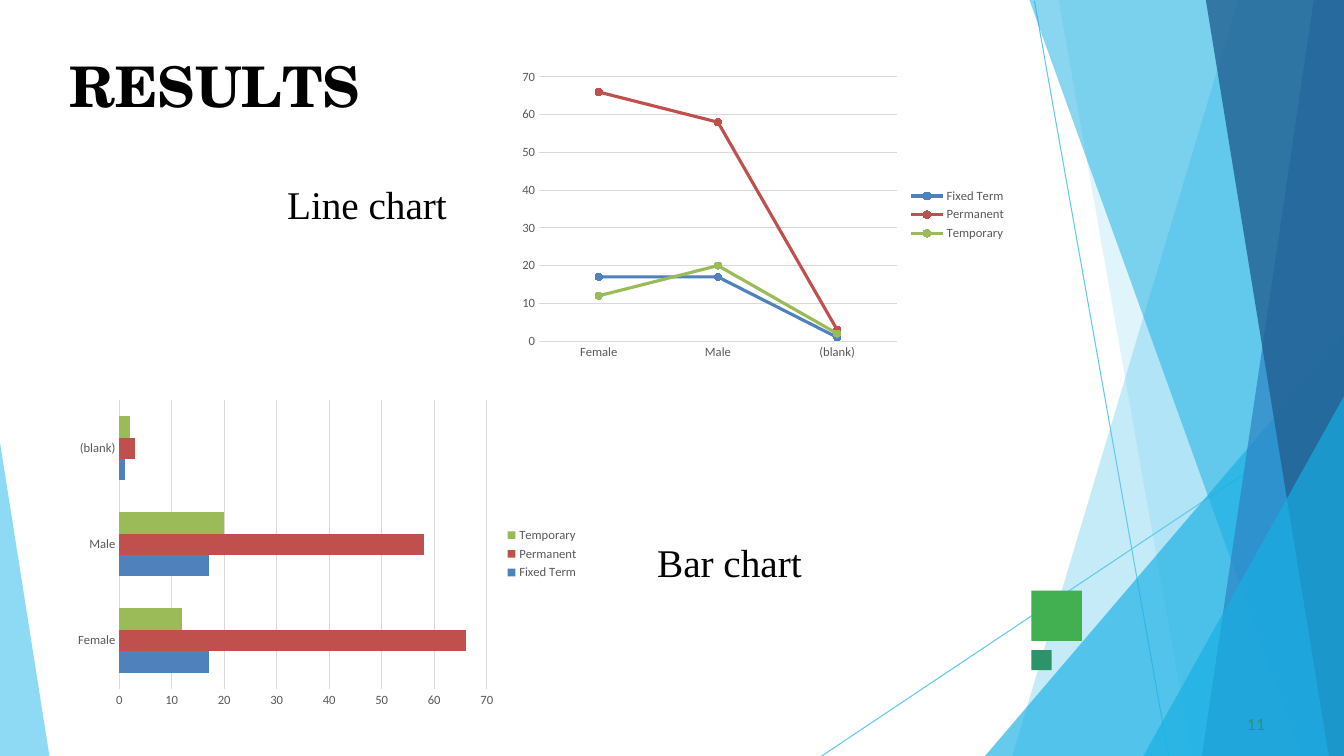
from pptx import Presentation
from pptx.chart.data import CategoryChartData
from pptx.dml.color import RGBColor
from pptx.enum.chart import XL_CHART_TYPE, XL_LEGEND_POSITION, XL_MARKER_STYLE, XL_TICK_MARK
from pptx.enum.shapes import MSO_CONNECTOR, MSO_SHAPE
from pptx.oxml.ns import qn
from pptx.oxml.xmlchemy import OxmlElement
from pptx.util import Pt

PX = 9144
WIDE, HIGH = 1333, 750
BLACK = RGBColor(0x00, 0x00, 0x00)
GRAY = RGBColor(0x59, 0x59, 0x59)
GRID = RGBColor(0xD9, 0xD9, 0xD9)
SKY = RGBColor(0x5F, 0xCA, 0xEE)
CYAN = RGBColor(0x17, 0xAF, 0xE3)
BLUE = RGBColor(0x2D, 0x83, 0xC3)
NAVY = RGBColor(0x22, 0x61, 0x92)
GREEN = RGBColor(0x42, 0xAF, 0x51)
TEAL = RGBColor(0x2D, 0x93, 0x6B)

GROUPS = ("Female", "Male", "(blank)")
TERMS = (
    ("Fixed Term", (17, 17, 1), RGBColor(0x4F, 0x81, 0xBD)),
    ("Permanent", (66, 58, 3), RGBColor(0xC0, 0x50, 0x4D)),
    ("Temporary", (12, 20, 2), RGBColor(0x9B, 0xBB, 0x59)),
)


class Painter:
    """Draws styled elements on the current slide."""

    def __init__(self, slide):
        self.shapes = slide.shapes
        self.font = "Calibri"

    def box(self, area):
        return [n * PX for n in area]

    def style(self, font, size, color, name=None, bold=False):
        font.name = name or self.font
        font.size = Pt(size)
        font.bold = bold
        font.color.rgb = color

    def paint(self, shape, color, alpha=100):
        shape.shadow.inherit = False
        shape.fill.solid()
        shape.fill.fore_color.rgb = color
        shape.line.fill.background()
        if alpha < 100:
            tint = next(shape._element.spPr.iter(qn("a:srgbClr")))
            node = OxmlElement("a:alpha")
            node.set("val", str(alpha * 1000))
            tint.append(node)

    def line(self, ends, color):
        wire = self.shapes.add_connector(MSO_CONNECTOR.STRAIGHT, *self.box(ends))
        wire.line.color.rgb = color
        wire.line.width = Pt(0.75)
        wire._element.spPr.append(OxmlElement("a:effectLst"))

    def facet(self, points, color, alpha):
        pen = self.shapes.build_freeform(*points[0], scale=PX)
        pen.add_line_segments(points[1:], close=True)
        self.paint(pen.convert_to_shape(), color, alpha)

    def square(self, left, top, side, color):
        area = self.box((left, top, side, side))
        self.paint(self.shapes.add_shape(MSO_SHAPE.RECTANGLE, *area), color)

    def text(self, area, parts, size, color, name, bold=False, pad=(0, 1), space=0):
        frame = self.shapes.add_textbox(*self.box(area)).text_frame
        frame.word_wrap = True
        frame.margin_left = frame.margin_right = pad[0] * PX
        frame.margin_top = pad[1] * PX
        frame.margin_bottom = pad[0] // 2 * PX
        para = frame.paragraphs[0]
        para.space_before = Pt(space)
        for words, gap in parts:
            run = para.add_run()
            run.text = words
            self.style(run.font, size, color, name, bold)
            if gap:
                run._r.get_or_add_rPr().set("spc", str(gap))

    def chart(self, kind, area):
        data = CategoryChartData()
        data.categories = GROUPS
        for name, vals, _ in TERMS:
            data.add_series(name, vals)
        chart = self.shapes.add_chart(kind, *self.box(area), data).chart
        self.style(chart.font, 10, BLACK)
        chart.has_title = False
        chart.has_legend = True
        chart.legend.position = XL_LEGEND_POSITION.RIGHT
        chart.legend.include_in_layout = False
        self.style(chart.legend.font, 9, GRAY)
        for axis in (chart.category_axis, chart.value_axis):
            axis.major_tick_mark = axis.minor_tick_mark = XL_TICK_MARK.NONE
            axis.format.line.fill.background()
            self.style(axis.tick_labels.font, 9, GRAY)
        scale = chart.value_axis
        scale.minimum_scale, scale.maximum_scale, scale.major_unit = 0, 70, 10
        scale.has_major_gridlines = True
        self.rule(scale.major_gridlines.format.line, GRID, 0.75)
        chart.plots[0].vary_by_categories = False
        return chart

    def rule(self, line, color, width):
        line.color.rgb = color
        line.width = Pt(width)

    def bars(self, area):
        plot = self.chart(XL_CHART_TYPE.BAR_CLUSTERED, area).plots[0]
        plot.gap_width = 150
        for row, (_, _, color) in zip(plot.series, TERMS):
            row.invert_if_negative = False
            row.format.fill.solid()
            row.format.fill.fore_color.rgb = color

    def trend(self, area):
        chart = self.chart(XL_CHART_TYPE.LINE_MARKERS, area)
        self.rule(chart.category_axis.format.line, GRID, 0.75)
        for row, (_, _, color) in zip(chart.plots[0].series, TERMS):
            row.smooth = False
            self.rule(row.format.line, color, 2.25)
            mark = row.marker
            mark.style, mark.size = XL_MARKER_STYLE.CIRCLE, 5
            mark.format.fill.solid()
            mark.format.fill.fore_color.rgb = color
            self.rule(mark.format.line, color, 0.75)


def main():
    deck = Presentation()
    deck.slide_width, deck.slide_height = WIDE * PX, HIGH * PX
    art = Painter(deck.slides.add_slide(deck.slide_layouts[6]))

    art.line((1026, 1, 1159, HIGH), SKY)
    art.line((WIDE, 404, 815, HIGH), SKY)
    for top, high, low, color, alpha in (
        (0, 1228, 1004, SKY, 36),
        (0, 1050, 1182, SKY, 20),
        (333, WIDE, 977, CYAN, 66),
        (0, 1021, 1291, CYAN, 50),
        (0, 1303, 1192, BLUE, 70),
        (0, 1196, 1318, NAVY, 80),
        (393, WIDE, 1134, CYAN, 66),
    ):
        edge = [(high, top), (low, HIGH), (WIDE, HIGH)]
        if high < WIDE:
            edge.append((WIDE, top))
        art.facet(edge, color, alpha)
    art.facet([(0, 439), (0, HIGH), (49, HIGH)], SKY, 70)
    art.square(1023, 586, 50, GREEN)
    art.square(1023, 645, 20, TEAL)

    title = (("R", 0), ("E", -40), ("S", 10), ("U", -30), ("L", -400), ("TS", 0))
    art.text((69, 50, 366, 69), title, 40, BLACK, "TeX Gyre Schola", True, space=1.1)
    art.text((1237, 708, 21, 21), [("11", 10)], 11, TEAL, "Lato", space=0.6)
    art.bars((67, 391, 517, 317))
    art.trend((508, 63, 500, 300))
    for words, area in (("Line chart", (275, 174, 217, 57)), ("Bar chart", (642, 529, 200, 57))):
        art.text(area, [(words, 0)], 28, BLACK, "Times New Roman", pad=(10, 5))
    deck.save("out.pptx")


if __name__ == "__main__":
    main()
